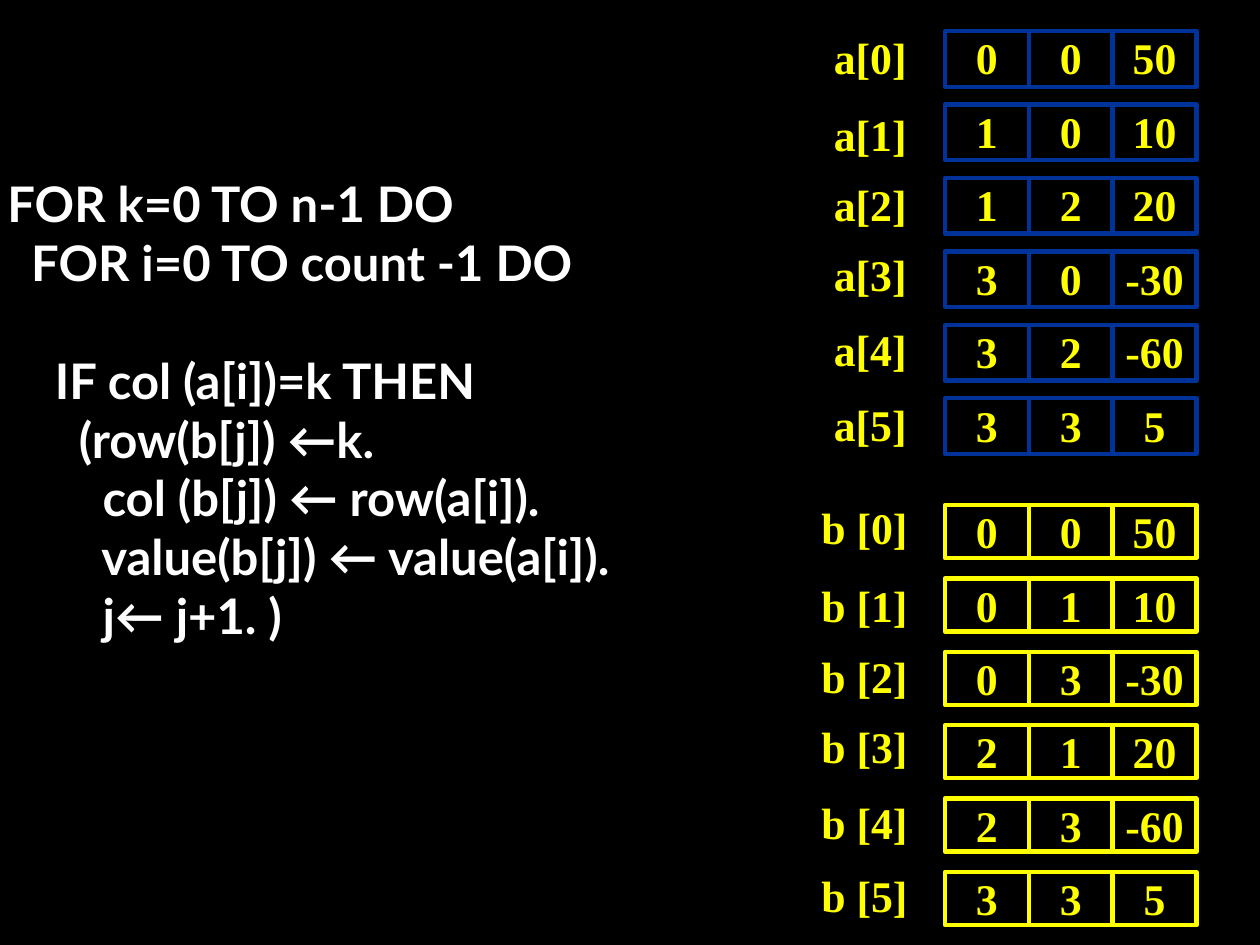
"""Build a slide with sparse-matrix transpose pseudocode and its triplet arrays."""
from dataclasses import dataclass

from pptx import Presentation
from pptx.dml.color import RGBColor
from pptx.enum.text import MSO_ANCHOR, PP_ALIGN
from pptx.enum.shapes import MSO_SHAPE
from pptx.util import Cm, Pt

CODE_BLOCKS = [
    [
        "FOR k=0 TO n-1 DO",
        "  FOR i=0 TO count -1 DO",
    ],
    [
        "    IF col (a[i])=k THEN",
        "      (row(b[j]) ←k.",
        "        col (b[j]) ← row(a[i]).",
        "        value(b[j]) ← value(a[i]).",
        "        j← j+1. )",
    ],
]

ARRAYS = [
    {
        "name": "a", "line": "003399", "top": 0.63, "cell_height": 1.12, "label_left": 16.56,
        "rows": [(0, 0, 50), (1, 0, 10), (1, 2, 20), (3, 0, -30), (3, 2, -60), (3, 3, 5)],
        "label_tops": [0.66, 2.21, 3.63, 5.03, 6.55, 8.05],
    },
    {
        "name": "b ", "line": "FFFF00", "top": 10.18, "cell_height": 1.07, "label_left": 16.31,
        "rows": [(0, 0, 50), (0, 1, 10), (0, 3, -30), (2, 1, 20), (2, 3, -60), (3, 3, 5)],
        "label_tops": [10.13, 11.71, 13.13, 14.55, 16.08, 17.55],
    },
]

CELL_LEFT, CELL_WIDTH, ROW_PITCH = 19.05, 1.69, 1.48
LABEL_WIDTH, LABEL_HEIGHT = 2.34, 1.17


@dataclass(frozen=True)
class Theme:
    background: str = "000000"
    code_color: str = "FFFFFF"
    array_color: str = "FFFF00"
    code_font: str = "Lato"
    array_font: str = "Times New Roman"
    code_size: float = 28
    array_size: float = 25
    block_gap: float = 33.6
    line_width: float = 2.5


THEME = Theme()


def set_font(paragraph, name, size, color):
    font = paragraph.font
    font.name, font.size, font.bold = name, Pt(size), True
    font.color.rgb = RGBColor.from_string(color)


def add_code(page):
    box = page.shapes.add_textbox(Cm(-0.1), Cm(3.38), Cm(16.66), Cm(9.83))
    frame = box.text_frame
    frame.word_wrap = True
    frame.text = "\n".join(line for block in CODE_BLOCKS for line in block)
    for paragraph in frame.paragraphs:
        set_font(paragraph, THEME.code_font, THEME.code_size, THEME.code_color)
    frame.paragraphs[len(CODE_BLOCKS[0])].space_before = Pt(THEME.block_gap)


def add_label(page, text, left, top):
    box = page.shapes.add_textbox(Cm(left), Cm(top), Cm(LABEL_WIDTH), Cm(LABEL_HEIGHT))
    box.text_frame.word_wrap = True
    paragraph = box.text_frame.paragraphs[0]
    paragraph.text = text
    paragraph.line_spacing = 0.85
    set_font(paragraph, THEME.array_font, THEME.array_size, THEME.array_color)


def add_cell(group, value, left, top, height, line_color):
    cell = group.shapes.add_shape(
        MSO_SHAPE.RECTANGLE, Cm(left), Cm(top), Cm(CELL_WIDTH), Cm(height))
    cell.shadow.inherit = False
    cell.fill.background()
    cell.line.color.rgb = RGBColor.from_string(line_color)
    cell.line.width = Pt(THEME.line_width)
    frame = cell.text_frame
    frame.margin_left = frame.margin_right = frame.margin_top = frame.margin_bottom = 0
    frame.vertical_anchor = MSO_ANCHOR.TOP
    paragraph = frame.paragraphs[0]
    paragraph.text = str(value)
    paragraph.alignment = PP_ALIGN.CENTER
    set_font(paragraph, THEME.array_font, THEME.array_size, THEME.array_color)


def add_array(page, array):
    for index, (row, label_top) in enumerate(zip(array["rows"], array["label_tops"])):
        add_label(page, f"{array['name']}[{index}]", array["label_left"], label_top)
        group = page.shapes.add_group_shape()
        top = array["top"] + index * ROW_PITCH
        for column, value in enumerate(row):
            left = CELL_LEFT + column * CELL_WIDTH
            add_cell(group, value, left, top, array["cell_height"], array["line"])


def main():
    deck = Presentation()
    deck.slide_width, deck.slide_height = Cm(25.4), Cm(19.05)
    page = deck.slides.add_slide(deck.slide_layouts[6])
    page.background.fill.solid()
    page.background.fill.fore_color.rgb = RGBColor.from_string(THEME.background)
    add_code(page)
    for array in ARRAYS:
        add_array(page, array)
    deck.save("out.pptx")


if __name__ == "__main__":
    main()
